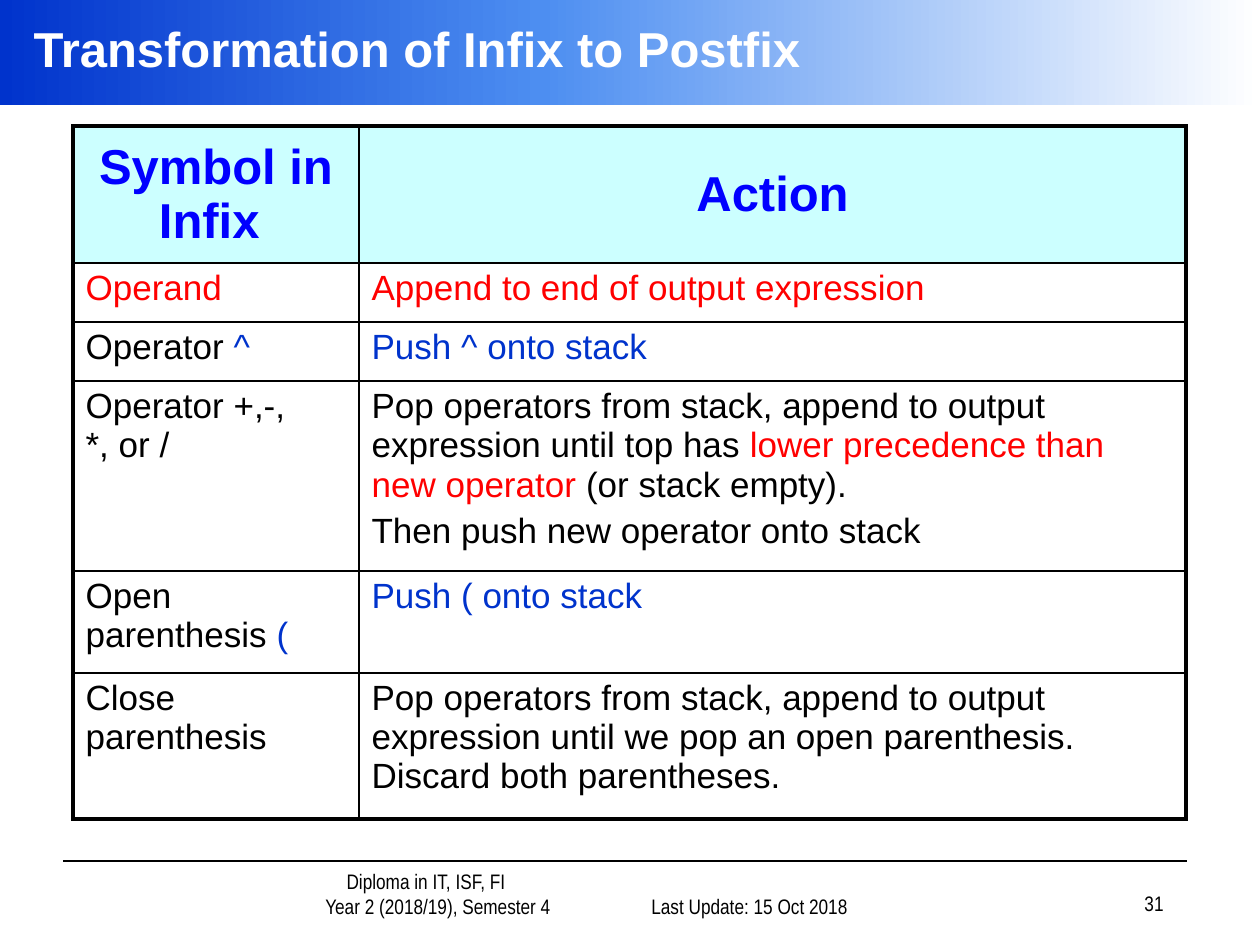
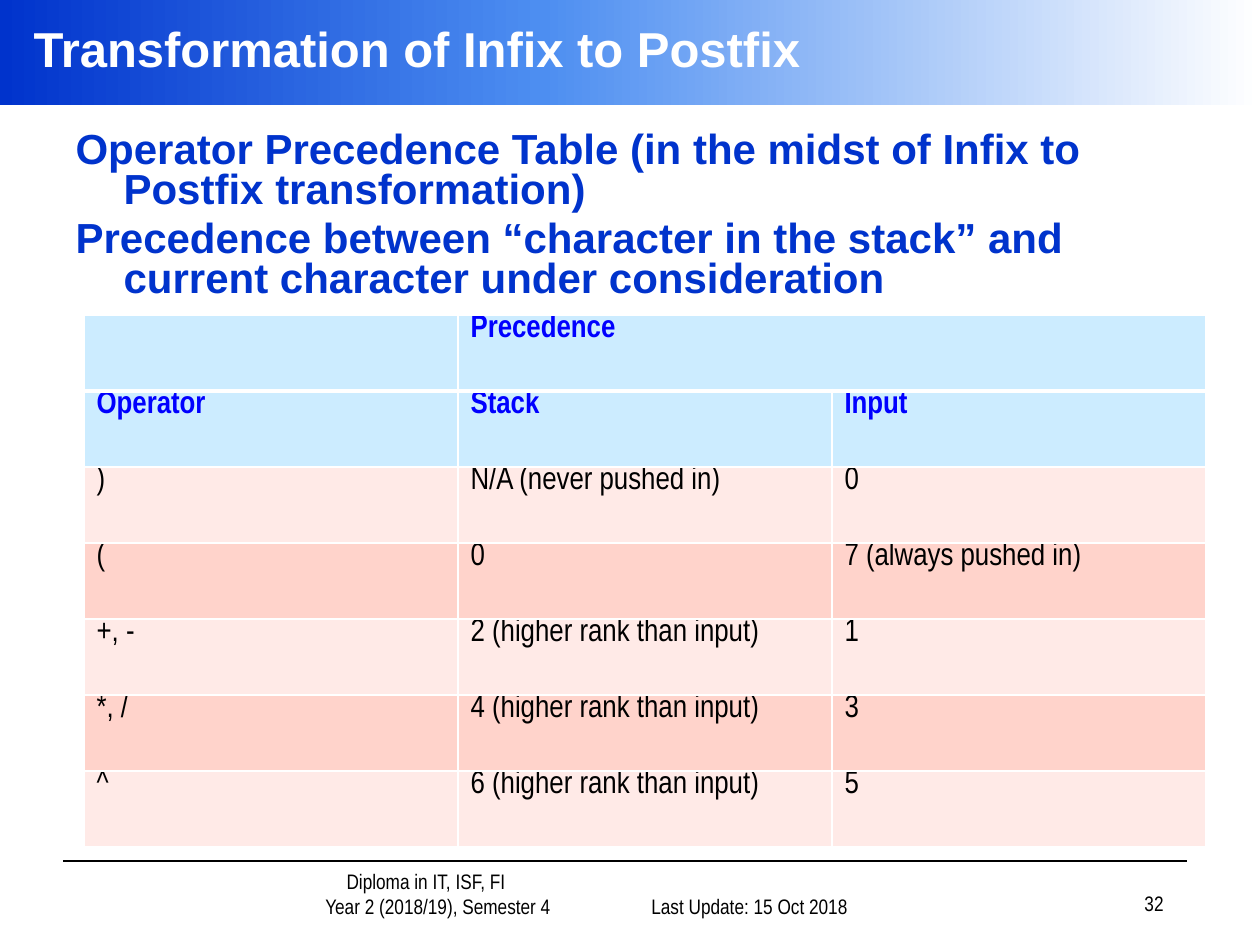
from copy import deepcopy

from lxml import etree
from pptx import Presentation
from pptx.dml.color import RGBColor
from pptx.enum.shapes import MSO_CONNECTOR, MSO_SHAPE
from pptx.enum.text import MSO_ANCHOR, MSO_AUTO_SIZE, PP_ALIGN
from pptx.oxml.ns import qn
from pptx.util import Pt

CENTER, LEFT, RIGHT = PP_ALIGN.CENTER, PP_ALIGN.LEFT, PP_ALIGN.RIGHT
TOP, MIDDLE, BOTTOM = MSO_ANCHOR.TOP, MSO_ANCHOR.MIDDLE, MSO_ANCHOR.BOTTOM
RECTANGLE, STRAIGHT = MSO_SHAPE.RECTANGLE, MSO_CONNECTOR.STRAIGHT
NO_AUTOFIT = MSO_AUTO_SIZE.NONE

EMU_PER_PX = 914400 / 126
SLIDE_SIZE = (1260, 945)
SANS, NARROW = "Arial", "Arial Narrow"
BLACK, WHITE, RED = "000000", "FFFFFF", "FF0000"
NAVY, BLUE = "0033CC", "0000FF"
CYAN, SKY, PALE_PINK, PINK = "CCFFFF", "CCECFF", "FFEAE7", "FFD3CB"
BAND_STOPS = [(0, NAVY), (0.43, "4D8EF1"), (1, WHITE)]

TITLE = "Transformation of Infix to Postfix"
FIRST_PAGE = 31
COURSE_LINES = [("Diploma in IT, ISF, FI", 63), ("Year 2 (2018/19), Semester 4", 87)]
UPDATED = "Last Update: 15 Oct 2018"

ACTION_ROWS = [
    ([[("Symbol in Infix ", BLUE)]], [[("Action", BLUE)]]),
    ([[("Operand", RED)]], [[("Append to end of output expression", RED)]]),
    ([[("Operator ", BLACK), ("^", NAVY)]], [[("Push ^ onto stack", NAVY)]]),
    ([[("Operator +,-,", BLACK), ("\n", BLACK), ("*, or /", BLACK)]],
     [[("Pop operators from stack, append to output expression until top has ", BLACK),
       ("lower precedence than new operator", RED),
       (" (or stack empty).", BLACK)],
      [("Then push new operator onto stack", BLACK)]]),
    ([[("Open parenthesis ", BLACK), ("(", NAVY)]], [[("Push ( onto stack", NAVY)]]),
    ([[("Close parenthesis", BLACK)]],
     [[("Pop operators from stack, append to output expression until we pop "
        "an open parenthesis. Discard both parentheses.", BLACK)]]),
]
ACTION_WIDTHS = [286, 827]
ACTION_HEIGHTS = [137, 59, 59, 190, 102, 146]

PRECEDENCE_POINTS = [
    "Operator Precedence Table (in the midst of Infix to Postfix transformation)",
    "Precedence between “character in the stack” and current character under consideration",
]
PRECEDENCE_ROWS = [
    ("", "Precedence", ""),
    ("Operator", "Stack", "Input"),
    (")", "N/A (never pushed in)", "0"),
    ("(", "0", "7 (always pushed in)"),
    ("+, -", "2 (higher rank than input)", "1"),
    ("*, /", "4 (higher rank than input)", "3"),
    ("^", "6 (higher rank than input)", "5"),
]
PRECEDENCE_HEADERS = 2


def px(length):
    return round(length * EMU_PER_PX)


def rgb(value):
    return RGBColor.from_string(value)


def style(font, name, size, bold=False, color=None):
    font.name, font.size, font.bold = name, Pt(size), bold
    if color:
        font.color.rgb = rgb(color)


def place(shape, left, top, width, height):
    shape.left, shape.top = px(left), px(top)
    shape.width, shape.height = px(width), px(height)


def add_band(slide):
    band = slide.shapes.add_shape(RECTANGLE, 0, 0, px(SLIDE_SIZE[0]), px(105))
    band.shadow.inherit = False
    band.line.fill.background()
    band.fill.gradient()
    band.fill.gradient_angle = 0
    stops = band._element.spPr.find(qn("a:gradFill")).find(qn("a:gsLst"))
    stops.append(deepcopy(stops[-1]))
    for stop, (position, color) in zip(band.fill.gradient_stops, BAND_STOPS):
        stop.position = position
        stop.color.rgb = rgb(color)
    slide.shapes._spTree.insert(2, band._element)


def add_footer_text(slide, box, lines, align):
    text_box = slide.shapes.add_textbox(*map(px, box))
    frame = text_box.text_frame
    frame.word_wrap = True
    frame.vertical_anchor = BOTTOM
    for index, (text, margin) in enumerate(lines):
        paragraph = frame.add_paragraph() if index else frame.paragraphs[0]
        paragraph.text = text
        paragraph.alignment = align
        paragraph._p.get_or_add_pPr().set("marL", str(px(margin)))
        style(paragraph.font, NARROW, 12, color=BLACK)


def add_page(presentation, layout_index, page):
    slide = presentation.slides.add_slide(presentation.slide_layouts[layout_index])
    add_band(slide)
    title = slide.shapes.title
    place(title, 21, 0, 1239, 95)
    title.text_frame.text = TITLE
    title.text_frame.auto_size = NO_AUTOFIT
    title.text_frame.vertical_anchor = MIDDLE
    paragraph = title.text_frame.paragraphs[0]
    paragraph.alignment = LEFT
    style(paragraph.font, SANS, 28, True, WHITE)

    rule = slide.shapes.add_connector(STRAIGHT, px(63), px(861), px(1187), px(861))
    rule.line.color.rgb = rgb(BLACK)
    rule.line.width = Pt(1)
    etree.SubElement(rule._element.spPr, qn("a:effectLst"))

    add_footer_text(slide, (212, 872, 365, 53), COURSE_LINES, CENTER)
    add_footer_text(slide, (598, 872, 262, 53), [(UPDATED, 0)], RIGHT)
    add_footer_text(slide, (914, 869, 262, 53), [(str(page), 0)], RIGHT)
    return slide


def set_borders(cell, color, widths):
    properties = cell._tc.get_or_add_tcPr()
    for index, (side, width) in enumerate(zip("LRTB", widths)):
        line = etree.Element(qn(f"a:ln{side}"), w=str(Pt(width)))
        fill = etree.SubElement(line, qn("a:solidFill"))
        etree.SubElement(fill, qn("a:srgbClr"), val=color)
        properties.insert(index, line)


def fill_cell(cell, paragraphs, fill, name, size, bold, align=LEFT, anchor=TOP):
    cell.fill.solid()
    cell.fill.fore_color.rgb = rgb(fill)
    cell.vertical_anchor = anchor
    for index, runs in enumerate(paragraphs):
        paragraph = cell.text_frame.add_paragraph() if index else cell.text_frame.paragraphs[0]
        paragraph.alignment = align
        paragraph.space_before = Pt(size * 0.2)
        style(paragraph.font, name, size, bold)
        for text, color in runs:
            if text == "\n":
                paragraph.add_line_break()
            else:
                run = paragraph.add_run()
                run.text = text
                run.font.color.rgb = rgb(color)


def add_grid(slide, left, top, widths, heights):
    frame = slide.shapes.add_table(len(heights), len(widths), px(left), px(top),
                                   px(sum(widths)), px(sum(heights)))
    table = frame.table
    for column, width in zip(table.columns, widths):
        column.width = px(width)
    for row, height in zip(table.rows, heights):
        row.height = px(height)
    return table


def add_action_table(slide):
    table = add_grid(slide, 73, 126, ACTION_WIDTHS, ACTION_HEIGHTS)
    last_row, last_column = len(ACTION_HEIGHTS) - 1, len(ACTION_WIDTHS) - 1
    for row, contents in enumerate(ACTION_ROWS):
        for column, paragraphs in enumerate(contents):
            cell = table.cell(row, column)
            if row == 0:
                fill_cell(cell, paragraphs, CYAN, SANS, 28, True, CENTER, MIDDLE)
            else:
                fill_cell(cell, paragraphs, WHITE, SANS, 20, False)
            outer = (column == 0, column == last_column, row == 0, row == last_row)
            set_borders(cell, BLACK, [2.25 if edge else 1 for edge in outer])


def add_precedence_table(slide):
    table = add_grid(slide, 84, 315, [374] * 3, [76] * len(PRECEDENCE_ROWS))
    for row, texts in enumerate(PRECEDENCE_ROWS):
        header = row < PRECEDENCE_HEADERS
        fill = SKY if header else (PALE_PINK, PINK)[row % 2]
        for column, text in enumerate(texts):
            cell = table.cell(row, column)
            cell.margin_top = 0
            paragraphs = [[(text, BLUE if header else BLACK)]] if text else []
            fill_cell(cell, paragraphs, fill, NARROW, 18, header)
            set_borders(cell, WHITE, (1, 1, 3 if row == 1 else 1, 3 if row == 0 else 1))
    table.cell(0, 1).merge(table.cell(0, 2))


def add_precedence_points(slide):
    body = slide.placeholders[1]
    place(body, 63, 126, 1134, 687)
    frame = body.text_frame
    frame.text = "\n".join(PRECEDENCE_POINTS)
    frame.auto_size = NO_AUTOFIT
    for paragraph in frame.paragraphs:
        paragraph.line_spacing = 0.8
        paragraph.space_before = Pt(4.8)
        style(paragraph.font, SANS, 24, True, NAVY)
        properties = paragraph._p.get_or_add_pPr()
        properties.set("marL", str(px(48)))
        properties.set("indent", str(px(-48)))
        properties.find(qn("a:defRPr")).addprevious(etree.Element(qn("a:buNone")))


def main():
    presentation = Presentation()
    presentation.slide_width, presentation.slide_height = map(px, SLIDE_SIZE)
    add_action_table(add_page(presentation, 5, FIRST_PAGE))
    precedence = add_page(presentation, 1, FIRST_PAGE + 1)
    add_precedence_points(precedence)
    add_precedence_table(precedence)
    presentation.save("out.pptx")


if __name__ == "__main__":
    main()
